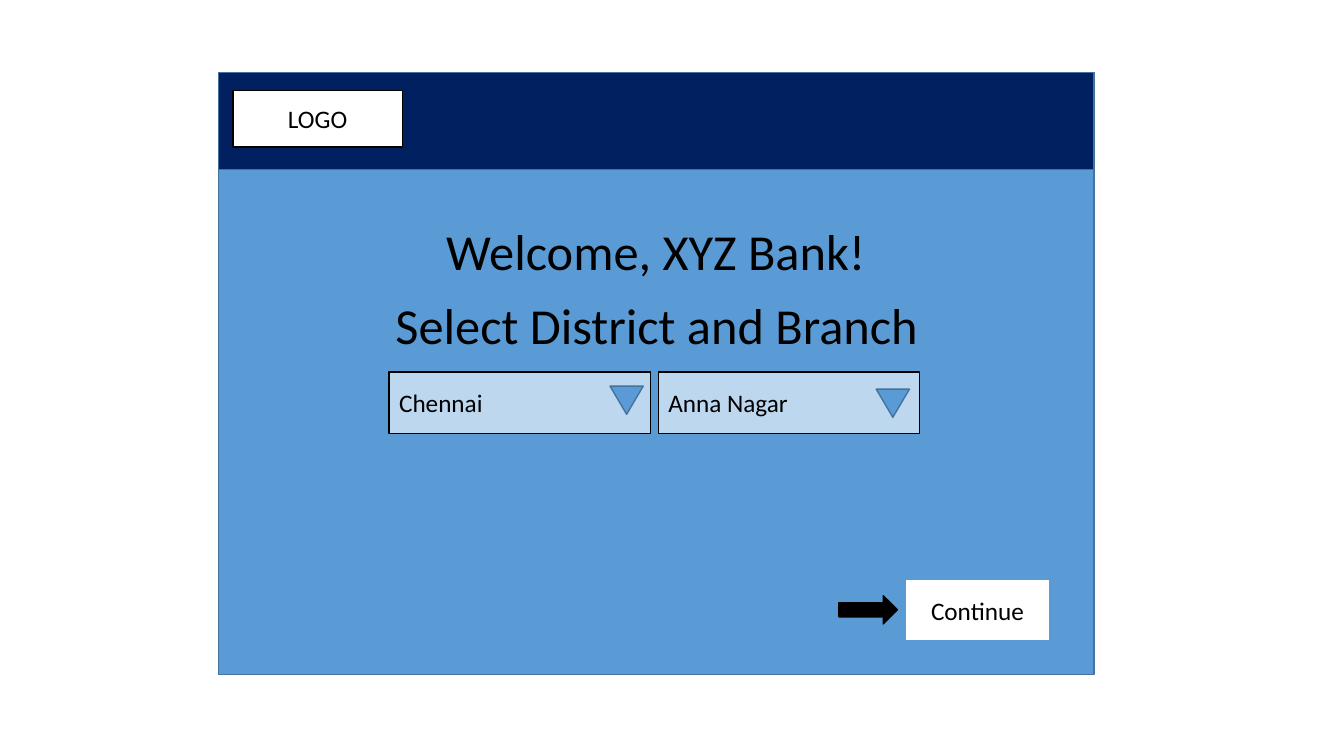
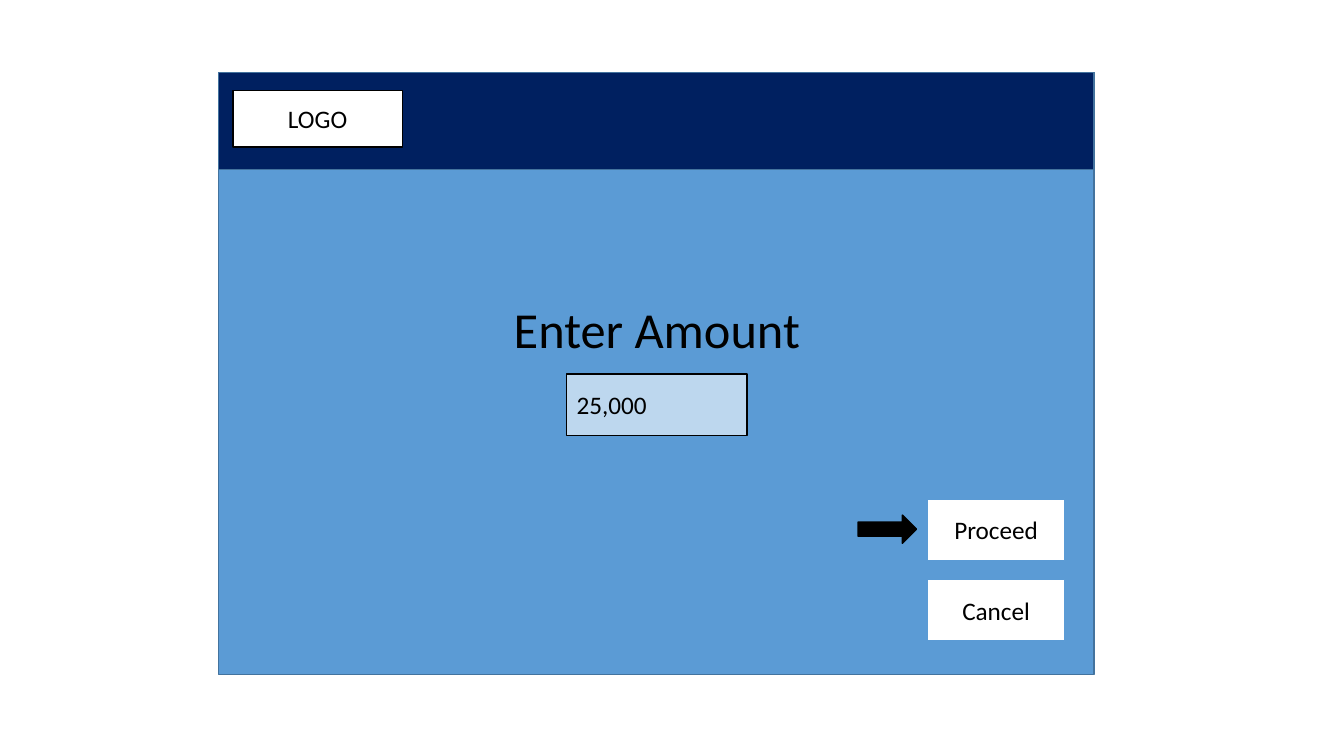
from dataclasses import dataclass
from typing import Optional

from pptx import Presentation
from pptx.dml.color import RGBColor
from pptx.enum.shapes import MSO_SHAPE as SHAPE
from pptx.enum.text import MSO_ANCHOR as ANCHOR, MSO_AUTO_SIZE as AUTO_SIZE, PP_ALIGN as ALIGN
from pptx.util import Emu, Pt

# Scale: 100 px to the inch
EMU_PER_PX = 9144
SLIDE_W, SLIDE_H = 1333, 750

# Colours and type
BLACK = RGBColor(0x00, 0x00, 0x00)
WHITE = RGBColor(0xFF, 0xFF, 0xFF)
BLUE = RGBColor(0x5B, 0x9B, 0xD5)
BLUE_EDGE = RGBColor(0x43, 0x73, 0x9E)
NAVY = RGBColor(0x00, 0x20, 0x60)
PALE_BLUE = RGBColor(0xBD, 0xD7, 0xEE)
FONT = "Calibri"
TITLE_PT, BODY_PT = 36, 18

# Shared geometry
PANEL_X, PANEL_Y, PANEL_W, PANEL_H = 217, 72, 868, 597
HEADER_H = 96
TITLE_X, TITLE_W, TITLE_H = 341, 621, 71
CONTROL_H = 61
ARROW_W, ARROW_H = 58, 28
TRIANGLE_W, TRIANGLE_H = 33, 28


@dataclass(frozen=True)
class Box:
    x: int
    y: int
    w: int
    h: int

    def emu(self) -> tuple[Emu, ...]:
        return tuple(Emu(v * EMU_PER_PX) for v in (self.x, self.y, self.w, self.h))


@dataclass(frozen=True)
class Title:
    text: str
    y: int
    x: int = TITLE_X


@dataclass(frozen=True)
class Field:
    text: str
    x: int
    y: int
    w: int
    triangle: Optional[tuple[int, int]] = None


@dataclass(frozen=True)
class Button:
    text: str
    x: int
    y: int
    w: int
    arrow_gap: Optional[int] = None


@dataclass(frozen=True)
class Screen:
    titles: list[Title]
    fields: list[Field]
    buttons: list[Button]


SCREENS = [
    Screen(
        titles=[Title("Welcome, XYZ Bank!", 213, 340),
                Title("Select District and Branch", 287)],
        fields=[Field("Chennai", 386, 369, 259, (605, 383)),
                Field("Anna Nagar", 653, 369, 259, (869, 386))],
        buttons=[Button("Continue", 898, 575, 143, 8)],
    ),
    Screen(
        titles=[Title("Enter Amount", 291)],
        fields=[Field("25,000", 562, 371, 179)],
        buttons=[Button("Proceed", 920, 495, 136, 11),
                 Button("Cancel", 920, 575, 136)],
    ),
]


def write(tf, text: str, size: int, align: ALIGN) -> None:
    tf.word_wrap = True
    p = tf.paragraphs[0]
    p.alignment = align
    r = p.add_run()
    r.text = text
    r.font.name = FONT
    r.font.size = Pt(size)
    r.font.color.rgb = BLACK


def add_block(s, box: Box, fill: RGBColor, line: RGBColor, text: str = "",
              align: ALIGN = ALIGN.CENTER, kind: SHAPE = SHAPE.RECTANGLE):
    sp = s.shapes.add_shape(kind, *box.emu())
    sp.shadow.inherit = False
    sp.fill.solid()
    sp.fill.fore_color.rgb = fill
    sp.line.color.rgb = line
    sp.line.width = Pt(1)
    if text:
        sp.text_frame.vertical_anchor = ANCHOR.MIDDLE
        write(sp.text_frame, text, BODY_PT, align)
    return sp


def add_frame(s) -> None:
    add_block(s, Box(PANEL_X, PANEL_Y, PANEL_W, PANEL_H), BLUE, BLUE_EDGE)
    add_block(s, Box(PANEL_X, PANEL_Y, PANEL_W, HEADER_H), NAVY, BLUE_EDGE)
    add_block(s, Box(231, 90, 168, 56), WHITE, BLACK, "LOGO")


def add_title(s, title: Title) -> None:
    sp = s.shapes.add_textbox(*Box(title.x, title.y, TITLE_W, TITLE_H).emu())
    write(sp.text_frame, title.text, TITLE_PT, ALIGN.CENTER)
    sp.text_frame.auto_size = AUTO_SIZE.SHAPE_TO_FIT_TEXT


def add_field(s, field: Field) -> None:
    add_block(s, Box(field.x, field.y, field.w, CONTROL_H), PALE_BLUE, BLACK,
              field.text, ALIGN.LEFT)
    if field.triangle:
        x, y = field.triangle
        sp = add_block(s, Box(x, y, TRIANGLE_W, TRIANGLE_H), BLUE, BLUE_EDGE,
                       kind=SHAPE.ISOSCELES_TRIANGLE)
        sp.rotation = 180


def add_button(s, button: Button) -> None:
    add_block(s, Box(button.x, button.y, button.w, CONTROL_H), WHITE, BLUE, button.text)
    if button.arrow_gap is not None:
        x = button.x - button.arrow_gap - ARROW_W
        y = button.y + (CONTROL_H - ARROW_H) // 2
        add_block(s, Box(x, y, ARROW_W, ARROW_H), BLACK, BLACK, kind=SHAPE.RIGHT_ARROW)


def main() -> None:
    prs = Presentation()
    prs.slide_width = Emu(SLIDE_W * EMU_PER_PX)
    prs.slide_height = Emu(SLIDE_H * EMU_PER_PX)
    blank = prs.slide_layouts[6]
    for screen in SCREENS:
        s = prs.slides.add_slide(blank)
        add_frame(s)
        for title in screen.titles:
            add_title(s, title)
        for field in screen.fields:
            add_field(s, field)
        for button in screen.buttons:
            add_button(s, button)
    prs.save("out.pptx")


if __name__ == "__main__":
    main()
